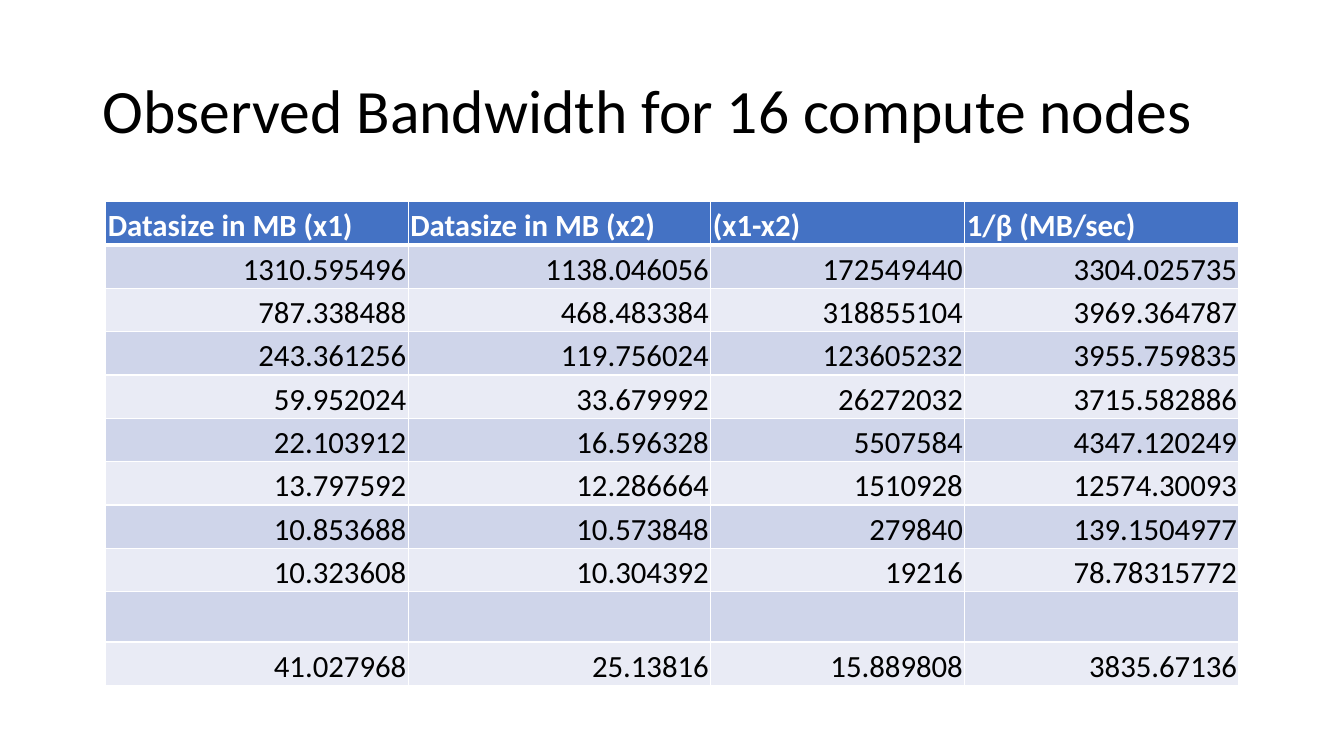
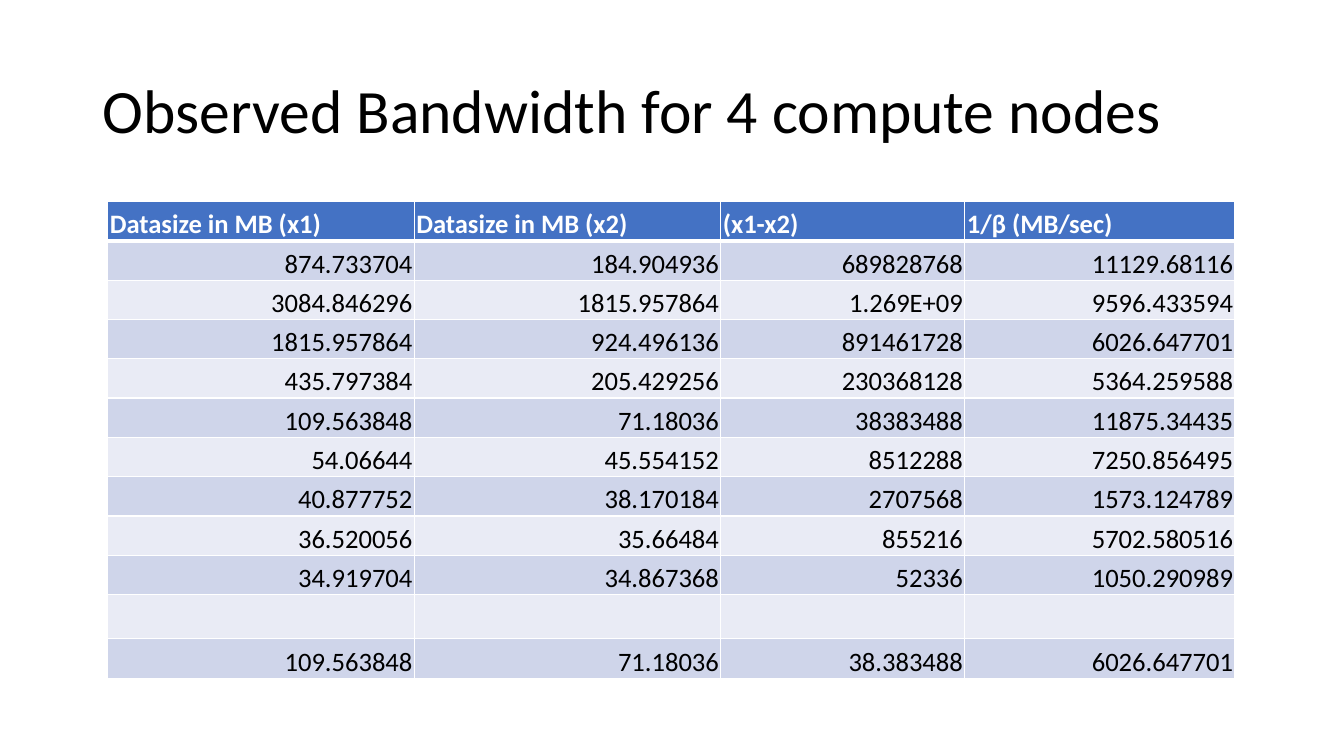
from lxml import etree
from pptx import Presentation
from pptx.dml.color import RGBColor
from pptx.enum.text import MSO_ANCHOR, MSO_AUTO_SIZE, PP_ALIGN
from pptx.oxml.ns import qn
from pptx.util import Inches, Pt

BLACK = RGBColor(0x00, 0x00, 0x00)
WHITE = RGBColor(0xFF, 0xFF, 0xFF)
HEADER_BLUE = RGBColor(0x44, 0x72, 0xC4)
BAND_DARK = RGBColor(0xCF, 0xD5, 0xEA)
BAND_LIGHT = RGBColor(0xE9, 0xEB, 0xF5)
FONT = "Calibri"
LEFT, RIGHT = PP_ALIGN.LEFT, PP_ALIGN.RIGHT
MIDDLE, BOTTOM = MSO_ANCHOR.MIDDLE, MSO_ANCHOR.BOTTOM
NO_AUTOFIT = MSO_AUTO_SIZE.NONE

HEADERS = ("Datasize in MB (x1)", "Datasize in MB (x2)", "(x1-x2)", "1/β (MB/sec)")
SLIDES = [
    {
        "nodes": 16, "left": 1.05, "widths": (3, 3, 2.52, 2.72),
        "row_height": 0.43, "gap_height": 0.5, "size": 22,
        "rows": [
            ("1310.595496", "1138.046056", "172549440", "3304.025735"),
            ("787.338488", "468.483384", "318855104", "3969.364787"),
            ("243.361256", "119.756024", "123605232", "3955.759835"),
            ("59.952024", "33.679992", "26272032", "3715.582886"),
            ("22.103912", "16.596328", "5507584", "4347.120249"),
            ("13.797592", "12.286664", "1510928", "12574.30093"),
            ("10.853688", "10.573848", "279840", "139.1504977"),
            ("10.323608", "10.304392", "19216", "78.78315772"),
        ],
        "summary": ("41.027968", "25.13816", "15.889808", "3835.67136"),
    },
    {
        "nodes": 4, "left": 1.07, "widths": (3.04, 3.04, 2.42, 2.68),
        "row_height": 0.39, "gap_height": 0.44, "size": 19,
        "rows": [
            ("874.733704", "184.904936", "689828768", "11129.68116"),
            ("3084.846296", "1815.957864", "1.269E+09", "9596.433594"),
            ("1815.957864", "924.496136", "891461728", "6026.647701"),
            ("435.797384", "205.429256", "230368128", "5364.259588"),
            ("109.563848", "71.18036", "38383488", "11875.34435"),
            ("54.06644", "45.554152", "8512288", "7250.856495"),
            ("40.877752", "38.170184", "2707568", "1573.124789"),
            ("36.520056", "35.66484", "855216", "5702.580516"),
            ("34.919704", "34.867368", "52336", "1050.290989"),
        ],
        "summary": ("109.563848", "71.18036", "38.383488", "6026.647701"),
    },
]


def add_text(para, text, size, color, align, bold=False):
    para.alignment = align
    span = para.add_run()
    span.text = text
    span.font.name = FONT
    span.font.size = Pt(size)
    span.font.bold = bold
    span.font.color.rgb = color


def add_borders(cell, row_index):
    properties = cell._tc.get_or_add_tcPr()
    for side in ("lnL", "lnR", "lnT", "lnB"):
        under_header = (row_index, side) in ((0, "lnB"), (1, "lnT"))
        line = etree.SubElement(properties, qn(f"a:{side}"), w=str(Pt(3 if under_header else 1)))
        fill = etree.SubElement(line, qn("a:solidFill"))
        etree.SubElement(fill, qn("a:srgbClr"), val=str(WHITE))


deck = Presentation()
deck.slide_width = Inches(13.33)
deck.slide_height = Inches(7.5)
title_only = deck.slide_layouts[5]

for content in SLIDES:
    page = deck.slides.add_slide(title_only)
    title = page.shapes.title
    title.left, title.top = Inches(0.92), Inches(0.4)
    title.width, title.height = Inches(11.5), Inches(1.45)
    title.text_frame.auto_size = NO_AUTOFIT
    title.text_frame.vertical_anchor = MIDDLE
    heading = title.text_frame.paragraphs[0]
    heading.line_spacing = 0.9
    add_text(heading, f"Observed Bandwidth for {content['nodes']} compute nodes", 44, BLACK, LEFT)

    gap_row = ("",) * len(HEADERS)
    rows = [HEADERS, *content["rows"], gap_row, content["summary"]]
    heights = [content["gap_height"] if row == gap_row else content["row_height"] for row in rows]
    table = page.shapes.add_table(
        len(rows), len(HEADERS), Inches(content["left"]), Inches(2),
        Inches(sum(content["widths"])), Inches(sum(heights)),
    ).table
    for column, width in zip(table.columns, content["widths"]):
        column.width = Inches(width)

    for row_index, (row, height) in enumerate(zip(rows, heights)):
        table.rows[row_index].height = Inches(height)
        is_header = row_index == 0
        band = BAND_DARK if row_index % 2 else BAND_LIGHT
        for column_index, text in enumerate(row):
            cell = table.cell(row_index, column_index)
            add_borders(cell, row_index)
            cell.fill.solid()
            cell.fill.fore_color.rgb = HEADER_BLUE if is_header else band
            if text:
                cell.vertical_anchor = BOTTOM
                cell.margin_left = cell.margin_right = cell.margin_top = Inches(0.02)
                cell.margin_bottom = 0
                add_text(
                    cell.text_frame.paragraphs[0], text, content["size"],
                    WHITE if is_header else BLACK, LEFT if is_header else RIGHT, is_header,
                )

deck.save("out.pptx")
